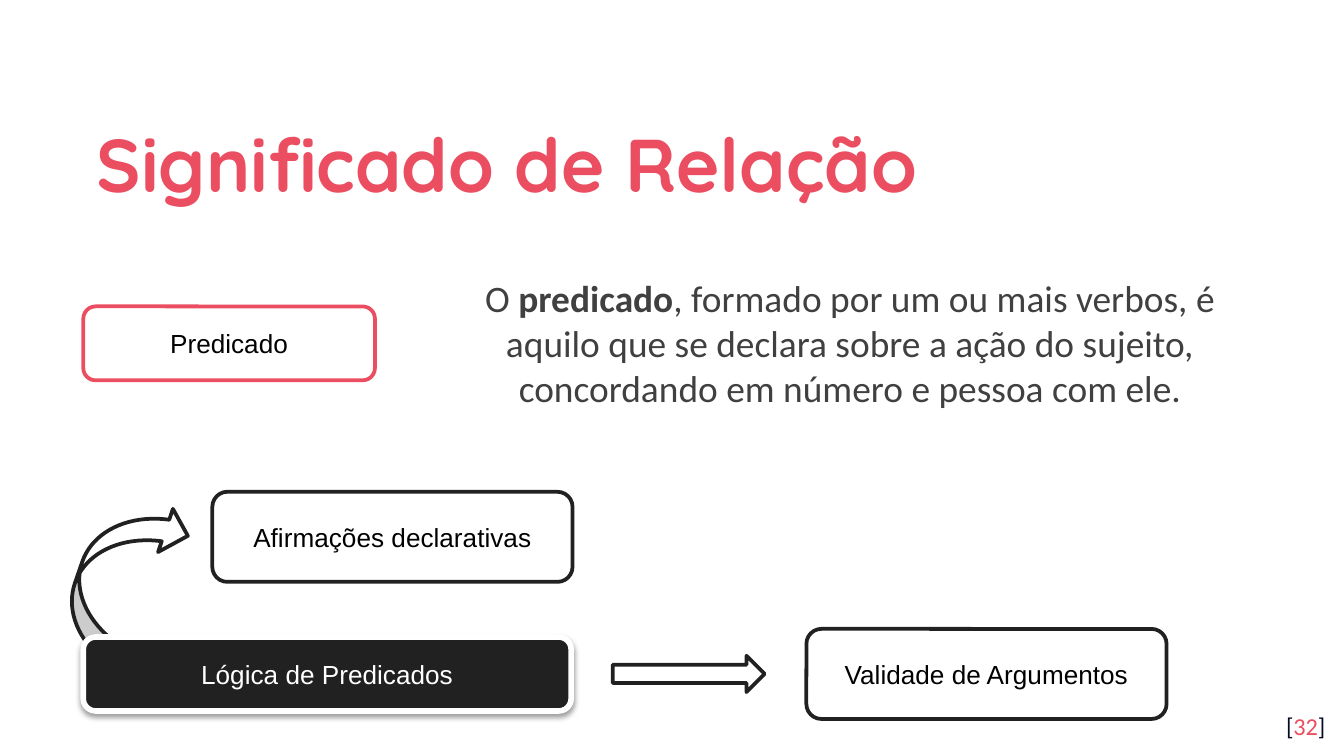
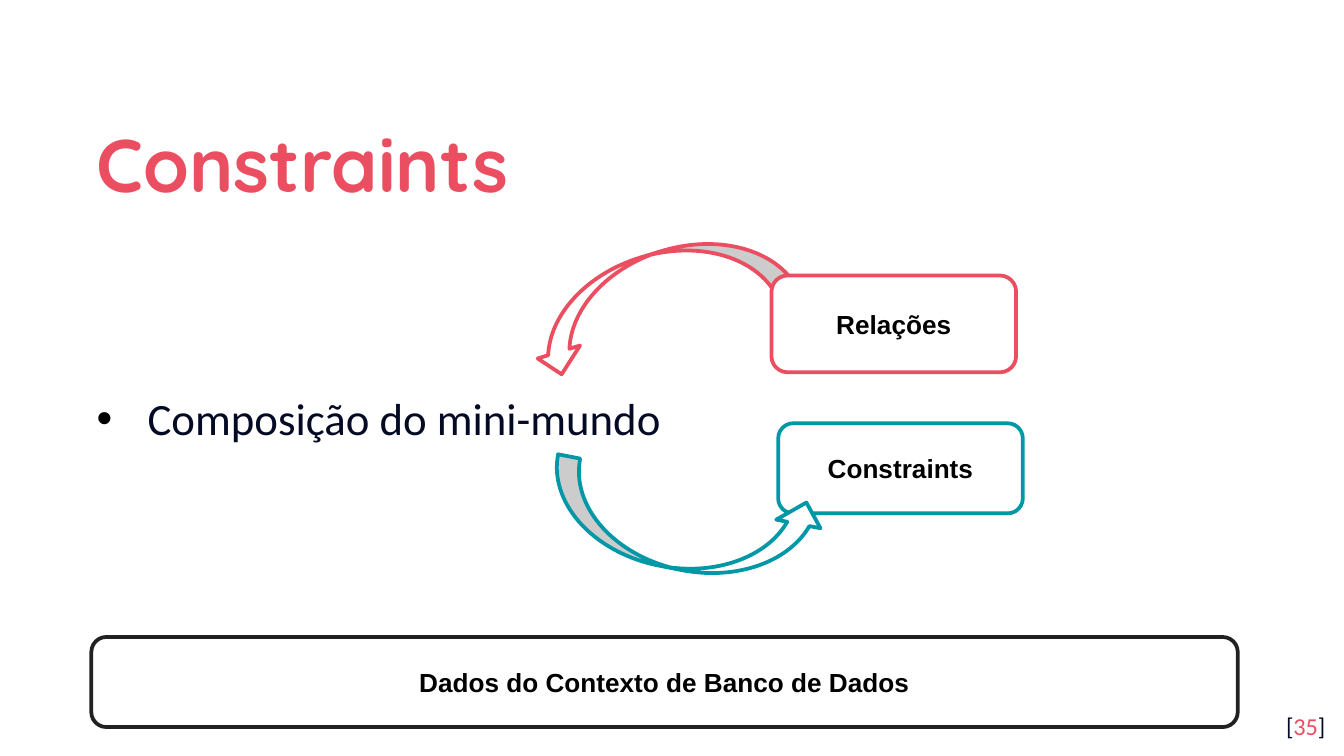
"""Builds two slides on predicates, relations and constraints."""
import pptx
import pptx.dml.color
import pptx.enum.shapes
import pptx.enum.text
import pptx.oxml
import pptx.oxml.ns
import pptx.util

Inches = pptx.util.Inches
Pt = pptx.util.Pt
RGBColor = pptx.dml.color.RGBColor
SHAPE = pptx.enum.shapes.MSO_SHAPE
ALIGN = pptx.enum.text.PP_ALIGN
ANCHOR = pptx.enum.text.MSO_ANCHOR

WHITE = RGBColor(0xFF, 0xFF, 0xFF)
BLACK = RGBColor(0x00, 0x00, 0x00)
DARK = RGBColor(0x21, 0x21, 0x21)
GRAY = RGBColor(0x40, 0x40, 0x40)
NAVY = RGBColor(0x04, 0x0A, 0x24)
RED = RGBColor(0xEA, 0x4E, 0x60)
TEAL = RGBColor(0x00, 0x97, 0xA7)

NS = pptx.oxml.ns.nsdecls("a")
SHADOW = (
    f'<a:effectLst {NS}><a:outerShdw blurRad="{Pt(3.1)}" dist="{Pt(1.6)}" '
    'dir="5400000" rotWithShape="0"><a:srgbClr val="000000">'
    '<a:alpha val="38000"/></a:srgbClr></a:outerShdw></a:effectLst>'
)
BULLET = (
    f'<a:buClr {NS}><a:srgbClr val="000000"/></a:buClr>',
    f'<a:buFont {NS} typeface="Arial"/>',
    f'<a:buChar {NS} char="•"/>',
)


class Deck:
    """Holds the presentation, its style and the current slide."""

    def __init__(self):
        self.prs = pptx.Presentation()
        self.prs.slide_width = Inches(10)
        self.prs.slide_height = Inches(10) * 9 // 16
        self.slide = None

    def add_slide(self, title, number):
        """Adds a slide with its title and page number."""
        self.slide = self.prs.slides.add_slide(self.prs.slide_layouts[5])
        sp = self.slide.shapes.title
        sp.left, sp.top, sp.width, sp.height = map(Inches, (0.62, 0.7, 8.77, 0.92))
        p = self.frame(sp, 0.1, ANCHOR.MIDDLE)
        p.alignment = ALIGN.LEFT
        p.line_spacing = 1.15
        self.run(p, title, 40, "Quicksand", RED, True)
        p = self.text(9.36, 5.19, 0.6, 0.43, ALIGN.RIGHT, 0.1)
        for text, color in (("[", NAVY), (number, RED), ("]", NAVY)):
            self.run(p, text, 13, "Calibri", color)

    def frame(self, sp, inset, anchor, bottom=None):
        """Sets up a text frame and returns its first paragraph."""
        tf = sp.text_frame
        tf.word_wrap = True
        tf.auto_size = pptx.enum.text.MSO_AUTO_SIZE.NONE
        tf.vertical_anchor = anchor
        tf.margin_left = tf.margin_right = Inches(0.1)
        tf.margin_top = Inches(inset)
        tf.margin_bottom = Inches(bottom or inset)
        return tf.paragraphs[0]

    def run(self, p, text, size, font, color, bold=False):
        """Adds one formatted run."""
        r = p.add_run()
        r.text = text
        r.font.size = Pt(size)
        r.font.name = font
        r.font.bold = bold
        r.font.color.rgb = color

    def text(self, x, y, w, h, align, inset=0.05, anchor=ANCHOR.TOP, bottom=None):
        """Adds a text box and returns its first paragraph."""
        sp = self.slide.shapes.add_textbox(*map(Inches, (x, y, w, h)))
        p = self.frame(sp, inset, anchor, bottom)
        p.alignment = align
        return p

    def bullet(self, text, x, y, w, h):
        """Adds a bullet line slightly above the middle of its box."""
        p = self.text(x, y, w, h, ALIGN.JUSTIFY, 0.1, ANCHOR.MIDDLE, 0.55)
        p.line_spacing = 1.15
        pPr = p._p.get_or_add_pPr()
        pPr.set("marL", str(Inches(0.38)))
        pPr.set("indent", str(-Inches(0.38)))
        for xml in BULLET:
            pPr.append(pptx.oxml.parse_xml(xml))
        self.run(p, text, 24, "Calibri", NAVY)

    def shape(self, kind, x, y, w, h, line, fill=WHITE, width=2, rotation=0):
        """Adds a filled and outlined preset shape."""
        sp = self.slide.shapes.add_shape(kind, *map(Inches, (x, y, w, h)))
        sp.shadow.inherit = False
        sp.fill.solid()
        sp.fill.fore_color.rgb = fill
        sp.line.color.rgb = line
        sp.line.width = Pt(width)
        sp.rotation = rotation
        return sp

    def box(self, text, x, y, w, h, line, bold=False, fill=WHITE, color=BLACK, width=2):
        """Adds a rounded box with a centred label."""
        sp = self.shape(SHAPE.ROUNDED_RECTANGLE, x, y, w, h, line, fill, width)
        p = self.frame(sp, 0.05, ANCHOR.MIDDLE)
        p.alignment = ALIGN.CENTER
        self.run(p, text, 14, "Arial", color, bold)
        return sp

    def raised_box(self, text, x, y, w, h):
        """Adds a dark box with a white border and a soft shadow."""
        sp = self.box(text, x, y, w, h, WHITE, fill=DARK, color=WHITE, width=3)
        effects = sp._element.spPr.find(pptx.oxml.ns.qn("a:effectLst"))
        effects.getparent().replace(effects, pptx.oxml.parse_xml(SHADOW))


def relation_slide(deck):
    """Builds the slide on the meaning of a relation."""
    deck.add_slide("Significado de Relação", "32")
    deck.shape(SHAPE.RIGHT_ARROW, 4.56, 4.88, 1.13, 0.27, DARK)
    deck.shape(SHAPE.CURVED_DOWN_ARROW, 0.27, 3.99, 1.3, 0.68, DARK, rotation=289)
    deck.raised_box("Lógica de Predicados", 0.62, 4.74, 3.63, 0.55)
    deck.box("Afirmações declarativas", 1.58, 3.66, 2.68, 0.67, DARK)
    deck.box("Predicado", 0.62, 2.28, 2.17, 0.55, RED)
    p = deck.text(3.28, 2, 6.09, 1.11, ALIGN.CENTER)
    for text, bold in (
        ("O ", False),
        ("predicado", True),
        (", formado por um ou mais verbos, é aquilo que se declara sobre a ação "
         "do sujeito, concordando em número e pessoa com ele.", False),
    ):
        deck.run(p, text, 20, "Calibri", GRAY, bold)
    deck.box("Validade de Argumentos", 6, 4.68, 2.68, 0.67, DARK)


def constraints_slide(deck):
    """Builds the slide on constraints."""
    deck.add_slide("Constraints", "35")
    deck.bullet("Composição do mini-mundo", 0.62, 1.62, 8.77, 3.37)
    deck.box("Constraints", 5.79, 3.15, 1.82, 0.67, TEAL, True)
    deck.shape(SHAPE.CURVED_RIGHT_ARROW, 4.57, 1.2, 0.66, 2.04, RED, rotation=73)
    deck.box("Relações", 5.74, 2.05, 1.82, 0.72, RED, True)
    deck.shape(SHAPE.CURVED_RIGHT_ARROW, 4.76, 2.88, 0.67, 2.05, TEAL, rotation=281)
    deck.box("Dados do Contexto de Banco de Dados", 0.68, 4.74, 8.53, 0.67, DARK, True)


def main():
    """Builds and saves the presentation."""
    deck = Deck()
    relation_slide(deck)
    constraints_slide(deck)
    deck.prs.save("out.pptx")


if __name__ == "__main__":
    main()
